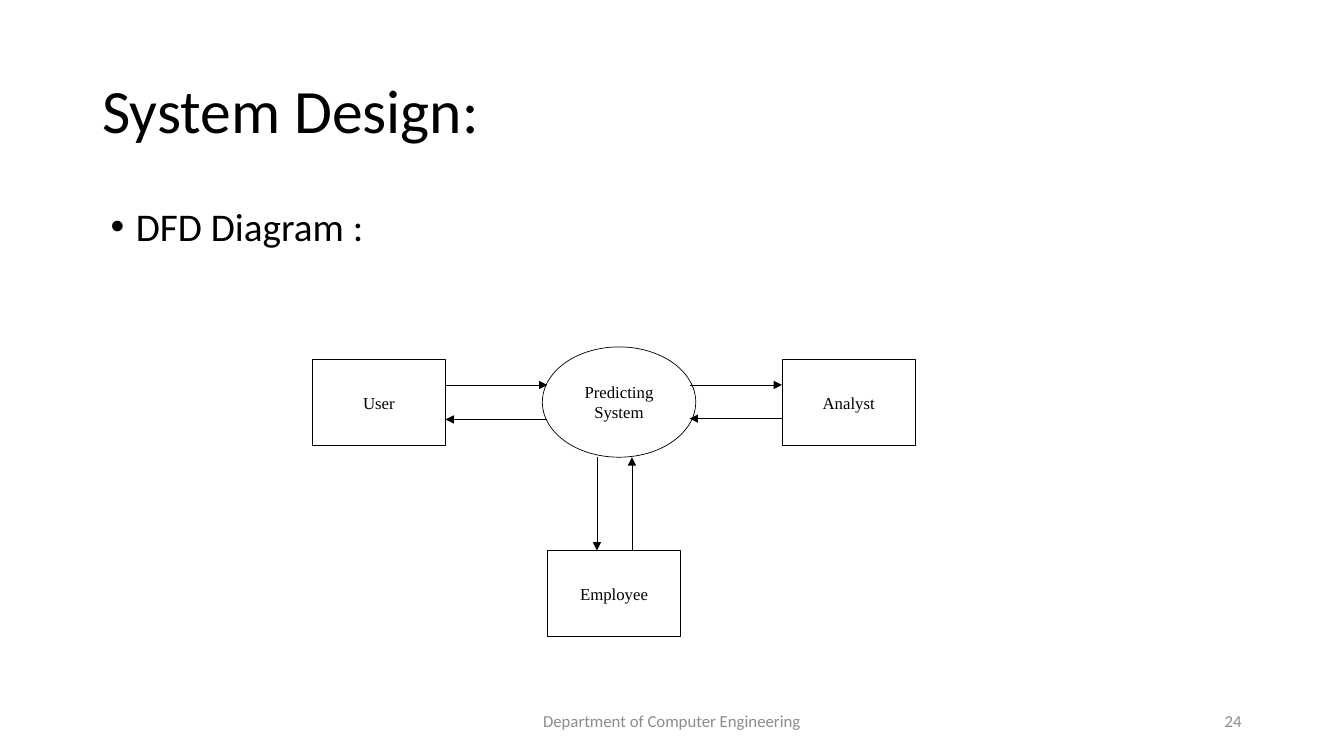
from lxml import etree
from pptx import Presentation
from pptx.dml.color import RGBColor
from pptx.enum import shapes, text
from pptx.oxml import ns
from pptx.util import Pt

BLACK = RGBColor(0, 0, 0)
WHITE = RGBColor(255, 255, 255)
GRAY = RGBColor(0x8C, 0x8C, 0x8C)
SANS, SERIF = "Calibri", "Times New Roman"
MID, TOP = text.MSO_ANCHOR.MIDDLE, text.MSO_ANCHOR.TOP
LEFT, CENTER, RIGHT = text.PP_ALIGN.LEFT, text.PP_ALIGN.CENTER, text.PP_ALIGN.RIGHT
RECT, OVAL = shapes.MSO_SHAPE.RECTANGLE, shapes.MSO_SHAPE.OVAL

# Content: text, box (left, top, width, height), format
LABELS = [
    ("System Design:", (66, 28.8, 828, 104.4), dict(size=44, space=0.9)),
    ("DFD Diagram :", (72, 144.7, 828, 342.7),
     dict(size=28, space=0.9, before=10, anchor=TOP, bullet="•")),
    ("Department of Computer Engineering", (318, 500.4, 324, 28.8),
     dict(size=12, color=GRAY, align=CENTER)),
    ("24", (678, 500.4, 216, 28.8), dict(size=12, color=GRAY, align=RIGHT)),
]
BOX = (95.3, 61.2)
NODES = [
    ("User", RECT, (223, 257, *BOX)),
    ("Analyst", RECT, (558.6, 257, *BOX)),
    ("Predicting System", OVAL, (387.4, 247.8, 109.6, 78.8)),
    ("Employee", RECT, (391, 393.2, *BOX)),
]

# Flow lanes, from the edges of the nodes
USER, ANALYST, SYSTEM, STAFF = [box for _, _, box in NODES]
user_x = USER[0] + USER[2]
in_x, out_x = 391, 492.6
base_y = SYSTEM[1] + SYSTEM[3]
FLOWS = [
    ((user_x, 275), (in_x, 275)),
    ((in_x, 299.6), (user_x, 299.6)),
    ((ANALYST[0], 299), (out_x, 299)),
    ((out_x, 275), (ANALYST[0], 275)),
    ((426.4, base_y), (426.4, STAFF[1])),
    ((451.4, STAFF[1]), (451.4, base_y)),
]


def write(shape, words, size=12, font=SANS, color=BLACK, align=LEFT,
          anchor=MID, space=None, before=0, bullet=None):
    frame = shape.text_frame
    frame.word_wrap = True
    frame.vertical_anchor = anchor
    para = frame.paragraphs[0]
    para.alignment = align
    para.line_spacing = space
    para.space_before = Pt(before)
    run = para.add_run()
    run.text = words
    run.font.size, run.font.name = Pt(size), font
    run.font.color.rgb = color
    if bullet:
        props = para._p.get_or_add_pPr()
        props.set("marL", str(Pt(18)))
        props.set("indent", str(Pt(-18)))
        etree.SubElement(props, ns.qn("a:buFont"), typeface="Arial")
        etree.SubElement(props, ns.qn("a:buChar"), char=bullet)


def edge(line):
    line.color.rgb = BLACK
    line.width = Pt(0.5)


def main():
    deck = Presentation()
    deck.slide_width, deck.slide_height = Pt(960), Pt(540)
    slide = deck.slides.add_slide(deck.slide_layouts[6])

    # Title, bullet and footer
    for words, box, style in LABELS:
        write(slide.shapes.add_textbox(*map(Pt, box)), words, **style)

    # Nodes
    for words, kind, box in NODES:
        node = slide.shapes.add_shape(kind, *map(Pt, box))
        node.shadow.inherit = False
        node.fill.solid()
        node.fill.fore_color.rgb = WHITE
        edge(node.line)
        write(node, words, font=SERIF, align=CENTER)

    # Arrows
    for start, end in FLOWS:
        flow = slide.shapes.add_connector(
            shapes.MSO_CONNECTOR.STRAIGHT, *map(Pt, start + end))
        edge(flow.line)
        etree.SubElement(flow.line._get_or_add_ln(), ns.qn("a:tailEnd"), type="triangle")
        etree.SubElement(flow._element.spPr, ns.qn("a:effectLst"))

    deck.save("out.pptx")


if __name__ == "__main__":
    main()
